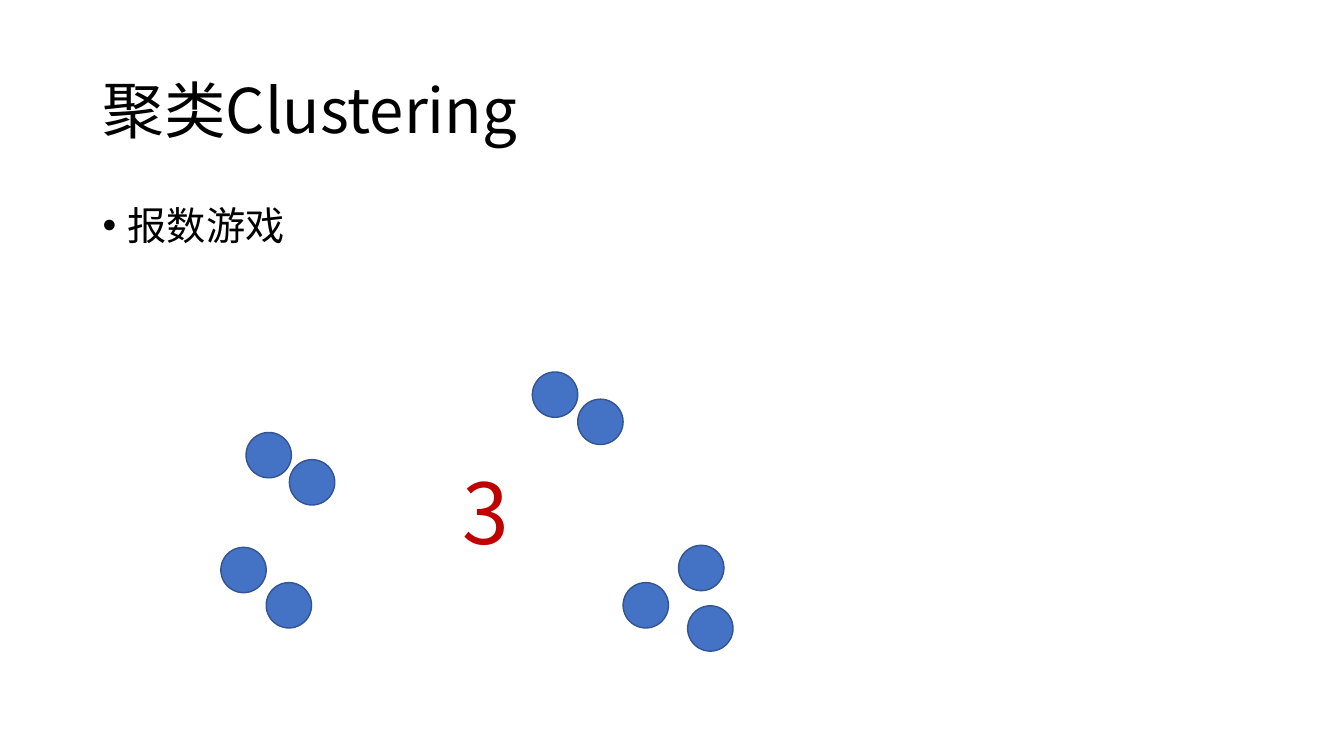
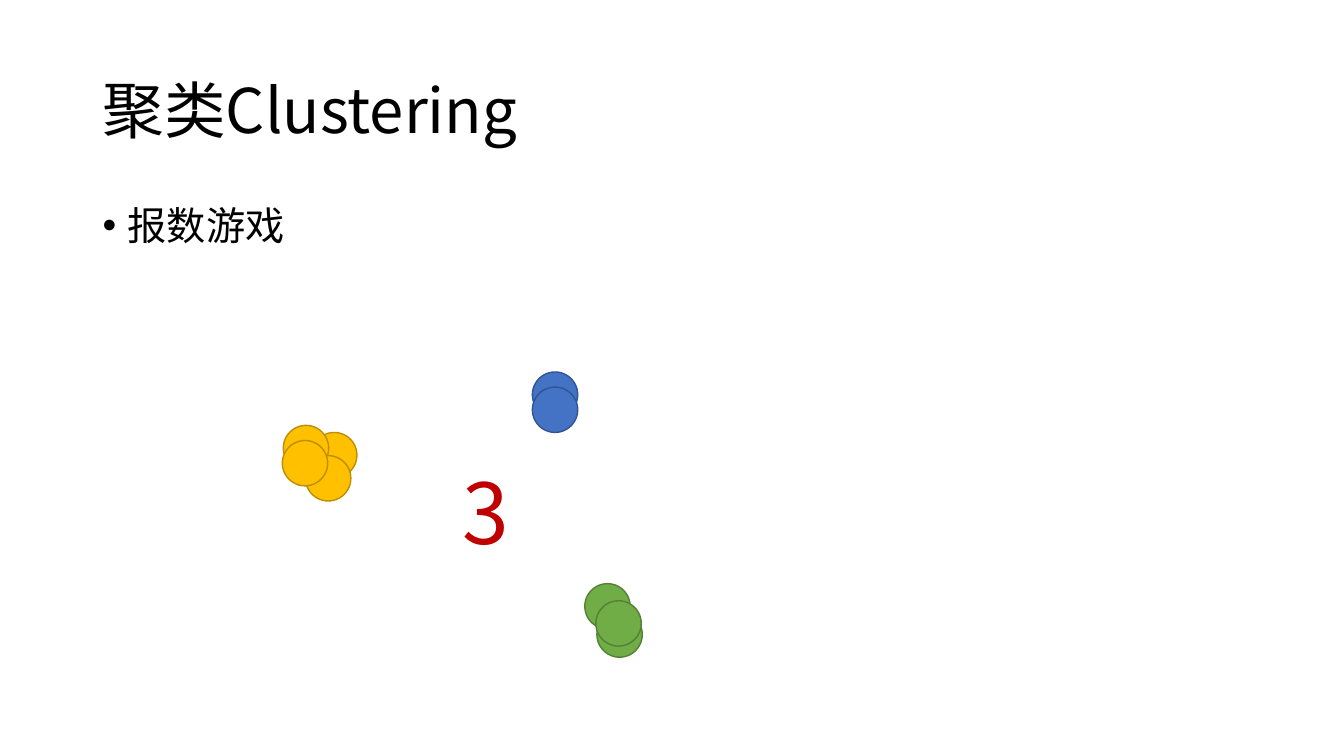
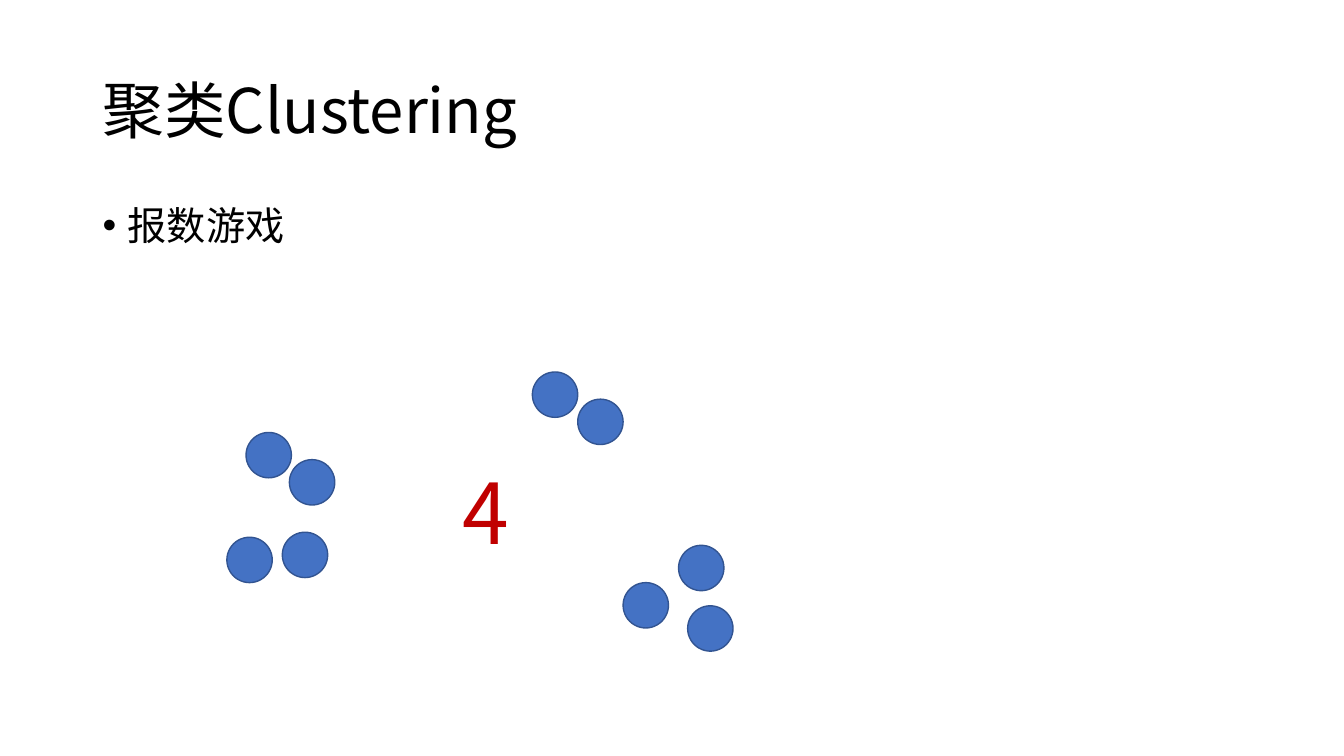
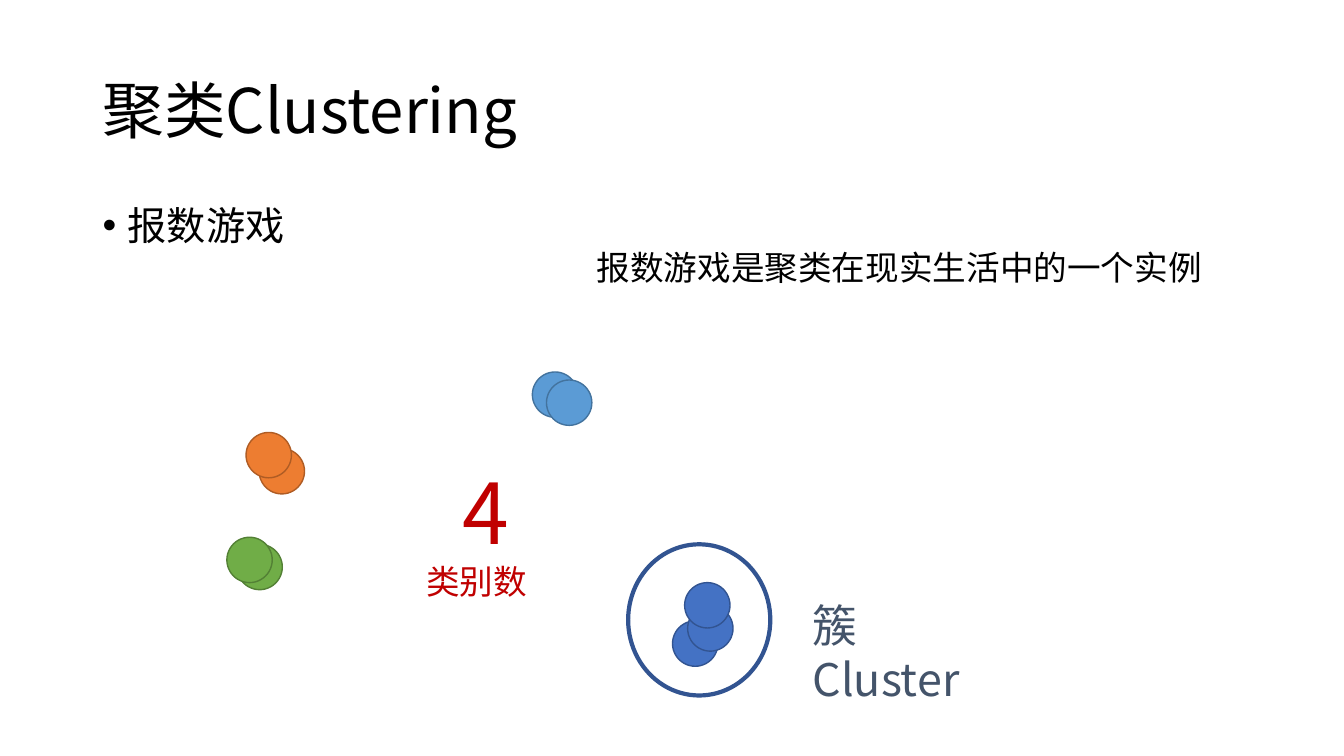
from lxml import etree
from pptx import Presentation
from pptx.dml.color import RGBColor
from pptx.enum.shapes import MSO_SHAPE
from pptx.enum.text import MSO_ANCHOR
from pptx.oxml.ns import qn
from pptx.util import Inches, Pt

OVAL = MSO_SHAPE.OVAL
TOP, MIDDLE = MSO_ANCHOR.TOP, MSO_ANCHOR.MIDDLE
FONT = "Noto Sans CJK SC"
DOT_SIZE = 0.45
COLORS = {
    "text": "000000", "red": "C00000", "slate": "44546A",
    "blue": "4472C4", "blue edge": "325491",
    "gold": "FFC000", "gold edge": "BD8E00",
    "green": "70AD47", "green edge": "538035",
    "orange": "ED7D31", "orange edge": "AF5C24",
    "sky": "5B9BD5", "sky edge": "43739E",
}

# Content: the number called, then groups of people as (color, dot positions)
TITLE = "聚类Clustering"
TOPIC = "报数游戏"
UPPER_LEFT = ("blue", [(2.87, 4.56), (2.44, 4.29)])
TOP_RIGHT = ("blue", [(5.28, 3.69), (5.73, 3.96)])
LOWER_RIGHT = ("blue", [(6.18, 5.78), (6.82, 6.01), (6.73, 5.41)])
ROUNDS = [
    ("3", [UPPER_LEFT, LOWER_RIGHT, TOP_RIGHT,
           ("blue", [(2.64, 5.78), (2.19, 5.43)])]),
    ("3", [("gold", [(3.09, 4.29), (2.81, 4.22), (3.03, 4.52), (2.8, 4.37)]),
           ("green", [(5.8, 5.79), (5.92, 6.07), (5.91, 5.96)]),
           ("blue", [(5.28, 3.69), (5.28, 3.84)])]),
    ("4", [UPPER_LEFT, LOWER_RIGHT, TOP_RIGHT,
           ("blue", [(2.8, 5.28), (2.25, 5.33)])]),
    ("4", [("orange", [(2.57, 4.45), (2.44, 4.29)]),
           ("blue", [(6.67, 6.16), (6.82, 6.01), (6.79, 5.78)]),
           ("green", [(2.35, 5.4), (2.25, 5.33)]),
           ("sky", [(5.28, 3.69), (5.42, 3.77)])]),
]
# Explanations on the last slide: text, box, format
LABELS = [
    ("报数游戏是聚类在现实生活中的一个实例", (5.82, 2.4, 6.26, 0.5), {"size": 24}),
    ("类别数", (4.13, 5.52, 1.21, 0.5), {"size": 24, "color": "red"}),
    ("簇Cluster", (7.96, 5.88, 1.98, 0.64),
     {"size": 32, "color": "slate", "wrap": True}),
]
CLUSTER_RING = (6.23, 5.4, 1.41, 1.5)


def rgb(name):
    return RGBColor.from_string(COLORS[name])


def add_text(slide, text, box, size=24, color="text", wrap=False,
             anchor=TOP, spacing=None, bullet=False):
    frame = slide.shapes.add_textbox(*map(Inches, box)).text_frame
    frame.word_wrap = wrap
    frame.vertical_anchor = anchor
    paragraph = frame.paragraphs[0]
    if spacing:
        paragraph.line_spacing = spacing
    if bullet:
        properties = paragraph._p.get_or_add_pPr()
        properties.set("marL", str(Inches(0.25)))
        properties.set("indent", str(-Inches(0.25)))
        etree.SubElement(properties, qn("a:buFont"), typeface="Arial")
        etree.SubElement(properties, qn("a:buChar"), char="•")
    run = paragraph.add_run()
    run.text = text
    run.font.size = Pt(size)
    run.font.color.rgb = rgb(color)
    run.font.name = FONT
    etree.SubElement(run.font._element, qn("a:ea"), typeface=FONT)


def add_circle(slide, box, edge, fill=None, width=1):
    shape = slide.shapes.add_shape(OVAL, *map(Inches, box))
    shape.shadow.inherit = False
    if fill:
        shape.fill.solid()
        shape.fill.fore_color.rgb = rgb(fill)
    else:
        shape.fill.background()
    shape.line.color.rgb = rgb(edge)
    shape.line.width = Pt(width)


def add_round(presentation, number, groups):
    slide = presentation.slides.add_slide(presentation.slide_layouts[6])
    add_text(slide, TOPIC, (0.92, 2, 11.5, 4.76), size=28, wrap=True,
             spacing=0.9, bullet=True)
    add_text(slide, TITLE, (0.92, 0.4, 11.5, 1.45), size=44, wrap=True,
             anchor=MIDDLE, spacing=0.9)
    for color, dots in groups:
        for left, top in dots:
            add_circle(slide, (left, top, DOT_SIZE, DOT_SIZE),
                       color + " edge", fill=color)
    add_text(slide, number, (4.49, 4.52, 0.65, 1.11), size=60, color="red")
    return slide


def main():
    presentation = Presentation()
    presentation.slide_width = Inches(13.33)
    presentation.slide_height = Inches(7.5)
    for number, groups in ROUNDS:
        slide = add_round(presentation, number, groups)
    # The last slide names the parts of the game
    for text, box, style in LABELS:
        add_text(slide, text, box, **style)
    add_circle(slide, CLUSTER_RING, "blue edge", width=3)
    presentation.save("out.pptx")


if __name__ == "__main__":
    main()
